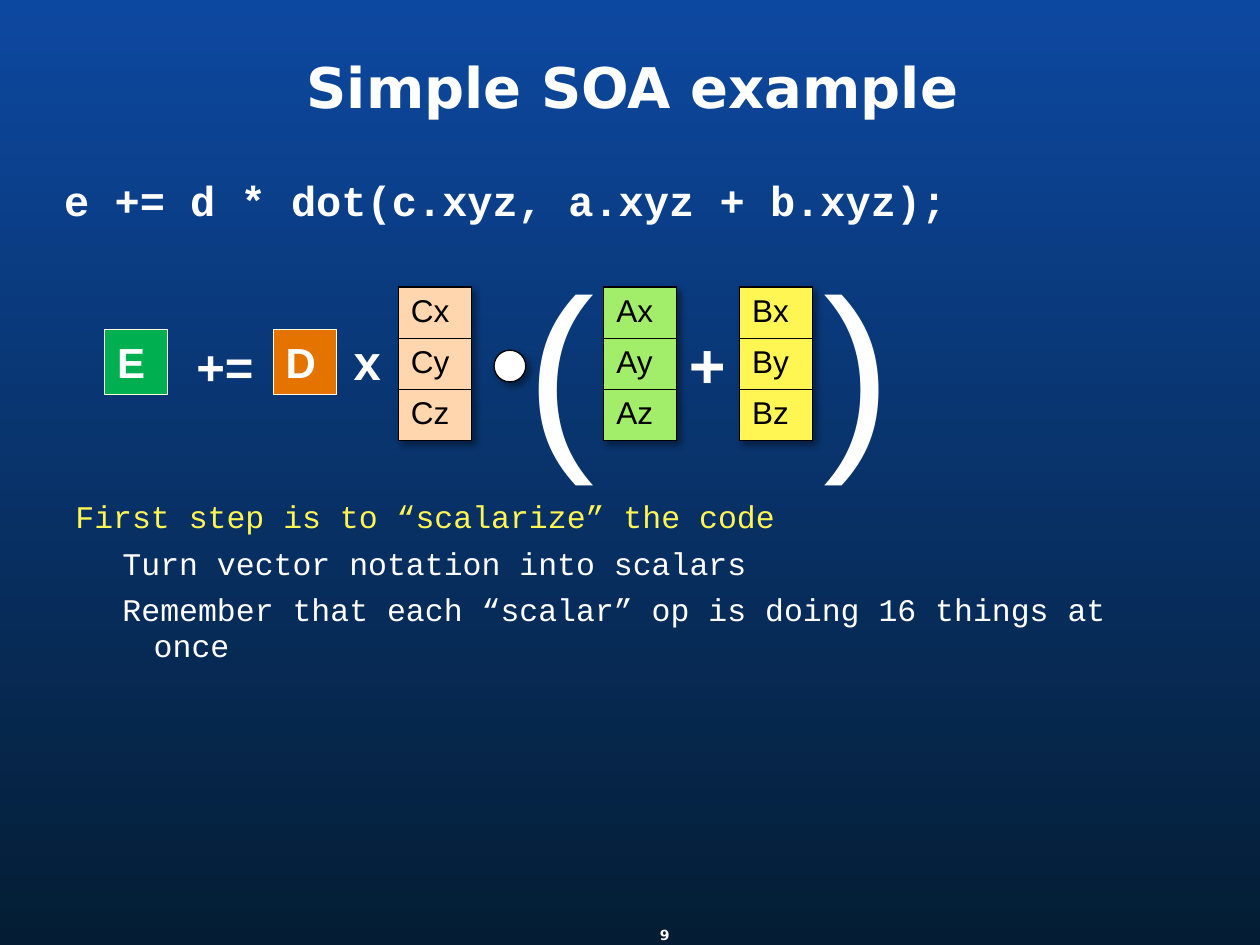
from dataclasses import dataclass

from lxml.etree import SubElement
from pptx import Presentation
from pptx.dml.color import RGBColor
from pptx.enum.shapes import MSO_SHAPE as Preset
from pptx.enum.text import MSO_ANCHOR as Anchor, PP_ALIGN as Align
from pptx.oxml import parse_xml
from pptx.oxml.ns import nsdecls, qn
from pptx.slide import Slide
from pptx.util import Cm, Pt

WHITE, BLACK, YELLOW, CREAM = "FFFFFF", "000000", "FFF654", "FFFDDD"
SANS, MONO, HEADING = "Arial", "Courier New", "DejaVu Sans"
VECTOR_TOP, VECTOR_WIDTH, ROW_HEIGHT = 5.79, 1.47, 1.03
SHADOW = (
    f'<a:effectLst {nsdecls("a")}><a:outerShdw blurRad="50800" dist="38100" dir="2700000">'
    '<a:srgbClr val="000000"><a:alpha val="40000"/></a:srgbClr></a:outerShdw></a:effectLst>'
)


@dataclass(frozen=True)
class Area:
    left: float
    top: float
    width: float
    height: float

    def lengths(self) -> list[Cm]:
        return [Cm(side) for side in (self.left, self.top, self.width, self.height)]


@dataclass(frozen=True)
class Style:
    size: float
    font: str = SANS
    color: str = WHITE
    bold: bool = False


@dataclass(frozen=True)
class Label:
    text: str
    area: Area
    style: Style
    align: Align = Align.LEFT
    anchor: Anchor = Anchor.TOP
    side_margin: float = 0.25
    top_margin: float = 0.13
    line_spacing: float = 1.0


@dataclass(frozen=True)
class Scalar:
    name: str
    left: float
    fill: str


@dataclass(frozen=True)
class Vector:
    name: str
    left: float
    fill: str


@dataclass(frozen=True)
class Step:
    text: str
    color: str
    margin: float
    indent: float


def rgb(value: str) -> RGBColor:
    return RGBColor.from_string(value)


def style_para(para, style: Style) -> None:
    for span in para.runs:
        span.font.size = Pt(style.size)
        span.font.name = style.font
        span.font.bold = style.bold
        span.font.color.rgb = rgb(style.color)


def draw_label(page: Slide, label: Label) -> None:
    frame = page.shapes.add_textbox(*label.area.lengths()).text_frame
    frame.word_wrap = True
    frame.vertical_anchor = label.anchor
    frame.margin_left = frame.margin_right = Cm(label.side_margin)
    frame.margin_top = Cm(label.top_margin)
    frame.text = label.text
    para = frame.paragraphs[0]
    para.alignment = label.align
    para.line_spacing = label.line_spacing
    style_para(para, label.style)


def draw_shape(page: Slide, preset: Preset, area: Area, fill: str, line: str):
    shape = page.shapes.add_shape(preset, *area.lengths())
    shape.shadow.inherit = False
    shape.fill.solid()
    shape.fill.fore_color.rgb = rgb(fill)
    shape.line.color.rgb = rgb(line)
    shape.line.width = Pt(0.75)
    return shape


def draw_scalar(page: Slide, scalar: Scalar) -> None:
    area = Area(scalar.left, 6.65, 1.27, 1.3)
    frame = draw_shape(page, Preset.RECTANGLE, area, scalar.fill, CREAM).text_frame
    frame.vertical_anchor = Anchor.TOP
    frame.text = scalar.name
    frame.paragraphs[0].alignment = Align.LEFT
    style_para(frame.paragraphs[0], Style(24, bold=True))


def draw_dot(page: Slide) -> None:
    dot = draw_shape(page, Preset.OVAL, Area(9.96, 7.06, 0.64, 0.64), WHITE, BLACK)
    properties = dot._element.spPr
    properties.replace(properties.find(qn("a:effectLst")), parse_xml(SHADOW))


def add_borders(cell) -> None:
    properties = cell._tc.get_or_add_tcPr()
    for side in ("a:lnL", "a:lnR", "a:lnT", "a:lnB"):
        line = SubElement(properties, qn(side), w=str(Pt(1)))
        SubElement(SubElement(line, qn("a:solidFill")), qn("a:srgbClr"), val=BLACK)


def draw_vector(page: Slide, vector: Vector) -> None:
    area = Area(vector.left, VECTOR_TOP, VECTOR_WIDTH, 3 * ROW_HEIGHT)
    table = page.shapes.add_table(3, 1, *area.lengths()).table
    table.first_row = table.horz_banding = False
    table._tbl.tblPr.insert(0, parse_xml(SHADOW))
    for row, axis in zip(table.rows, "xyz"):
        row.height = Cm(ROW_HEIGHT)
        cell = row.cells[0]
        add_borders(cell)
        cell.fill.solid()
        cell.fill.fore_color.rgb = rgb(vector.fill)
        cell.text_frame.text = vector.name + axis
        style_para(cell.text_frame.paragraphs[0], Style(18, color=BLACK))


def draw_steps(page: Slide, area: Area, steps: list[Step]) -> None:
    frame = page.shapes.add_textbox(*area.lengths()).text_frame
    frame.word_wrap = True
    frame.margin_left = frame.margin_right = 0
    frame.text = "\n".join(step.text for step in steps)
    for para, step in zip(frame.paragraphs, steps):
        para.line_spacing = 0.95
        para.space_after = Pt(6)
        properties = para._p.get_or_add_pPr()
        properties.set("marL", str(Cm(step.margin)))
        properties.set("indent", str(Cm(step.indent)))
        style_para(para, Style(18, MONO, step.color))


def paint_background(page: Slide) -> None:
    fill = page.background.fill
    fill.gradient()
    fill.gradient_angle = 270
    for stop, color in zip(fill.gradient_stops, ("0D48A0", "041D34")):
        stop.color.rgb = rgb(color)


def main() -> None:
    """Build the slide that turns a vector expression into scalars."""
    deck = Presentation()
    deck.slide_width, deck.slide_height = Cm(25.4), Cm(19.05)
    page = deck.slides.add_slide(deck.slide_layouts[6])
    paint_background(page)

    operator, paren = Style(28, bold=True), Style(117)
    labels = [
        Label("9", Area(12.83, 18.42, 1.14, 0.84), Style(8, HEADING, bold=True),
              Align.CENTER, Anchor.MIDDLE, side_margin=0),
        Label("Simple SOA example", Area(1.07, 0.64, 23.37, 2.34),
              Style(32, HEADING, bold=True), Align.CENTER, Anchor.MIDDLE, line_spacing=0.9),
        Label("e += d * dot(c.xyz, a.xyz + b.xyz);", Area(0.56, 3.51, 19.25, 2.11),
              Style(24, MONO, bold=True), Align.CENTER, side_margin=0, line_spacing=0.9),
        Label("+=", Area(3.71, 6.65, 1.9, 1.45), operator),
        Label("x", Area(6.88, 6.55, 1.47, 1.45), operator),
        Label("+", Area(13.64, 6.43, 1.47, 1.8), Style(36, bold=True)),
        Label("(", Area(10.36, 4.32, 2.11, 5.21), paren, top_margin=0.5),
        Label(")", Area(16.36, 4.32, 1.9, 5.21), paren, top_margin=0.5),
    ]
    for label in labels:
        draw_label(page, label)
    for scalar in (Scalar("E", 2.11, "00B050"), Scalar("D", 5.51, "E57300")):
        draw_scalar(page, scalar)
    for vector in (Vector("C", 8.03, "FFD6AD"), Vector("A", 12.17, "A2ED69"),
                   Vector("B", 14.91, YELLOW)):
        draw_vector(page, vector)
    draw_dot(page)
    draw_steps(page, Area(1.27, 9.96, 22.86, 7.06), [
        Step("First step is to “scalarize” the code", YELLOW, 0.25, 0),
        Step("Turn vector notation into scalars", WHITE, 1.83, -0.63),
        Step("Remember that each “scalar” op is doing 16 things at once", WHITE, 1.83, -0.63),
    ])
    deck.save("out.pptx")


if __name__ == "__main__":
    main()
